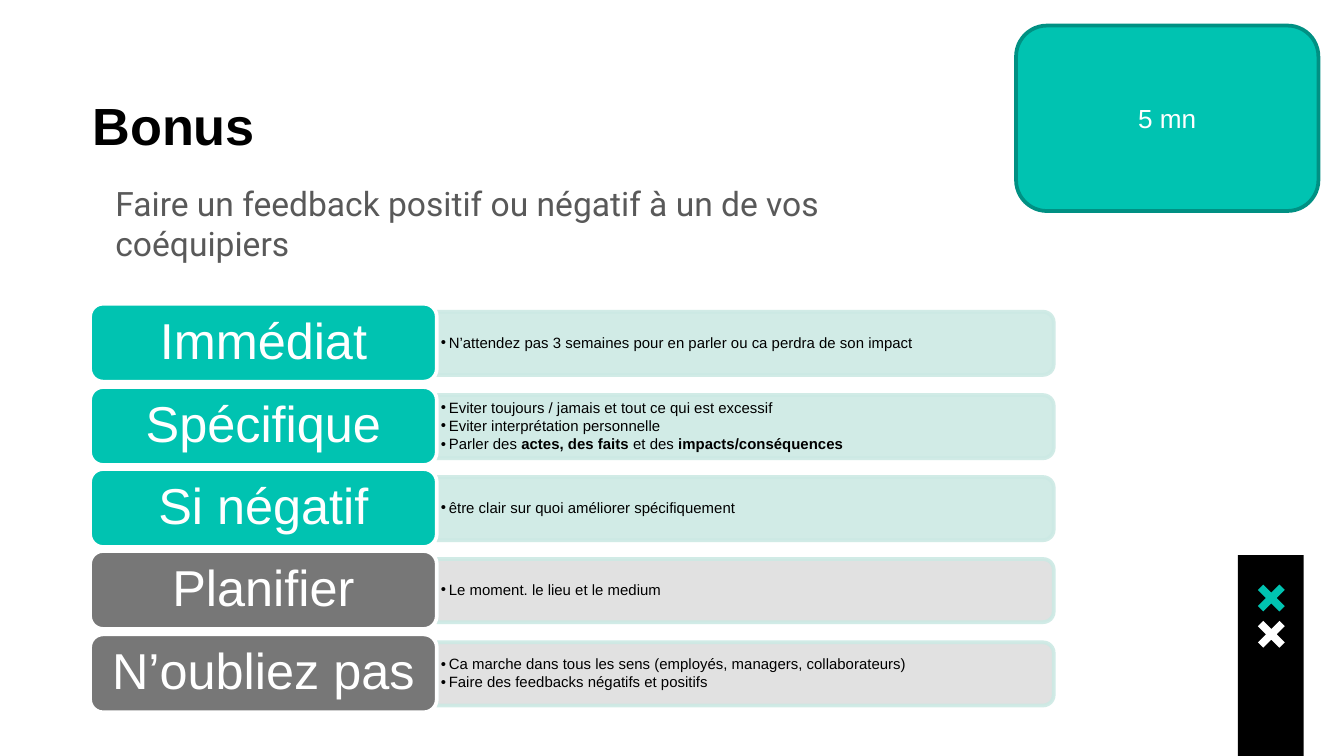
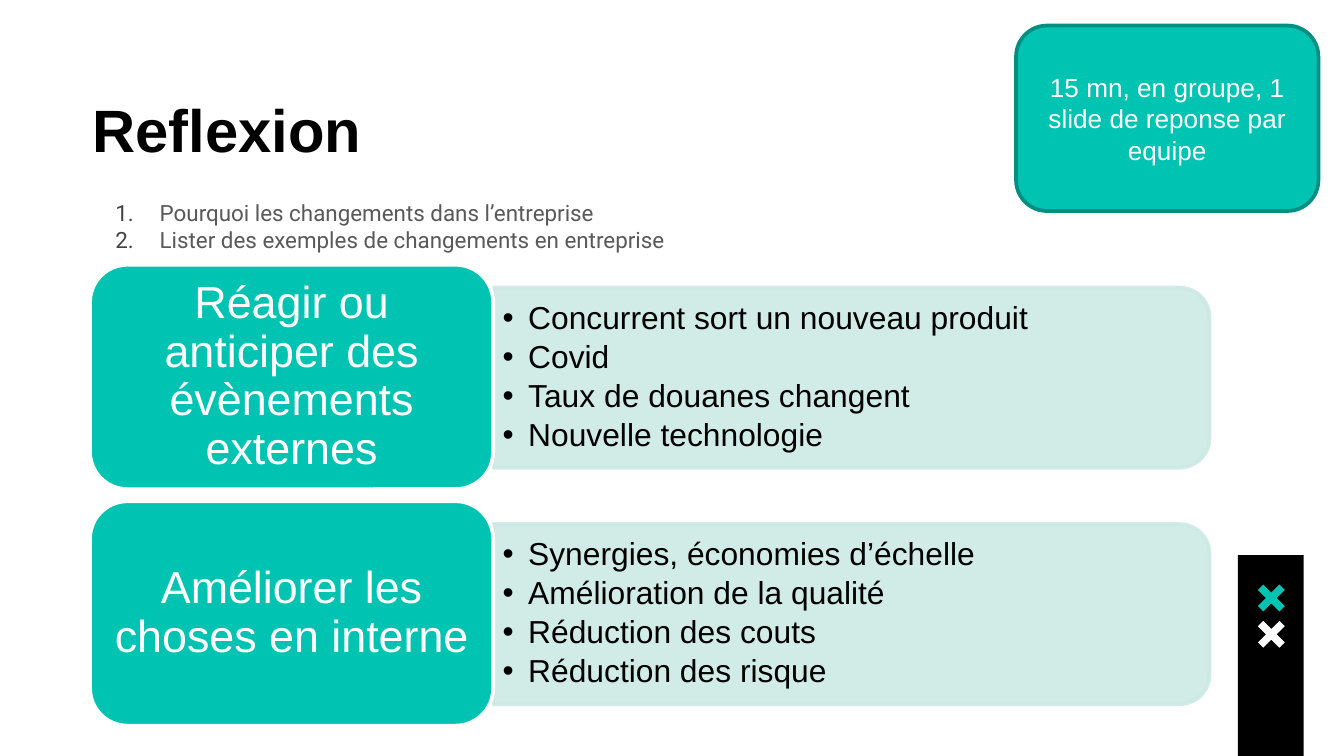
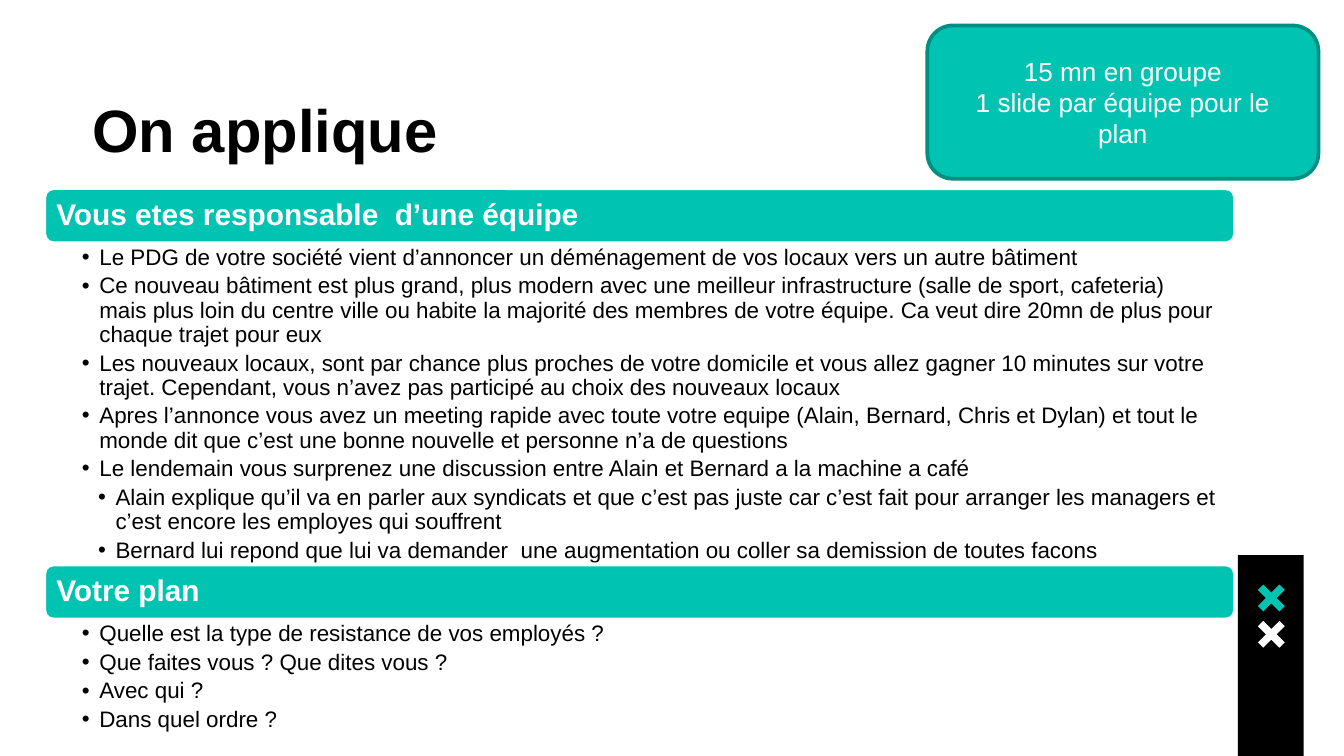
"""Build three workshop slides on feedback and change management."""
from dataclasses import dataclass, replace

from lxml import etree
from pptx import Presentation
from pptx.dml.color import RGBColor
from pptx.enum.shapes import MSO_SHAPE
from pptx.enum.text import MSO_ANCHOR, PP_ALIGN
from pptx.oxml.ns import qn
from pptx.util import Pt

PX = 9144
SLIDE_W = 1000 * PX
SLIDE_H = SLIDE_W * 9 // 16

TEAL = RGBColor(0x00, 0xC3, 0xB1)
DARK_TEAL = RGBColor(0x00, 0x90, 0x83)
MINT = RGBColor(0xCC, 0xE9, 0xE4)
GREY = RGBColor(0x77, 0x77, 0x77)
LIGHT_GREY = RGBColor(0xDE, 0xDE, 0xDE)
BODY_GREY = RGBColor(0x59, 0x59, 0x59)
NUMBER_GREY = RGBColor(0x43, 0x43, 0x43)
BLACK = RGBColor(0x00, 0x00, 0x00)
WHITE = RGBColor(0xFF, 0xFF, 0xFF)

RECT = MSO_SHAPE.RECTANGLE
ROUND = MSO_SHAPE.ROUNDED_RECTANGLE
ROUND_TOP = MSO_SHAPE.ROUND_2_SAME_RECTANGLE
LEFT, CENTER = PP_ALIGN.LEFT, PP_ALIGN.CENTER
TOP, MIDDLE = MSO_ANCHOR.TOP, MSO_ANCHOR.MIDDLE

CROSS = [(4, 0), (0, 4), (6, 10), (0, 16), (4, 20), (10, 14),
         (16, 20), (20, 16), (14, 10), (20, 4), (16, 0), (10, 6)]


@dataclass(frozen=True)
class Style:
    """Paragraph look; indents in px, space after in percent."""
    size: int
    color: RGBColor = BLACK
    font: str = "Arial"
    bold: bool = False
    align: PP_ALIGN = LEFT
    line: float = 1.0
    after: int = 0
    level: int = 0
    indent: int = 0
    hang: int = 0
    mark: str = ""
    mark_color: RGBColor = BLACK


TITLE = Style(32, bold=True)
LEAD = Style(18, BODY_GREY, "Roboto", indent=17)
QUESTION = Style(12, BODY_GREY, "Roboto", indent=50, hang=33,
                 mark="number", mark_color=NUMBER_GREY)
BADGE = Style(14, WHITE, align=CENTER)
LABEL = Style(27, WHITE, align=CENTER, line=0.9, after=35)
HEADER = Style(16, WHITE, bold=True, line=0.9, after=35)
POINT = Style(8, line=0.9, after=15, level=1, indent=6, hang=6, mark="•")
BIG_POINT = replace(POINT, size=17, indent=19, hang=19)
STORY = replace(POINT, size=12, after=20, indent=13, hang=13)
SUB_STORY = replace(STORY, level=2, indent=25)


def px(*values):
    """Turn px lengths into EMU."""
    return [v * PX for v in values]


def format_paragraph(p, style):
    """Apply alignment, spacing, indents and list mark."""
    p.alignment, p.line_spacing, p.level = style.align, style.line, style.level
    pPr = p._p.get_or_add_pPr()
    pPr.set("marL", str(style.indent * PX))
    pPr.set("indent", str(-style.hang * PX))
    if style.after:
        after = etree.SubElement(pPr, qn("a:spcAft"))
        etree.SubElement(after, qn("a:spcPct"), val=str(style.after * 1000))
    if not style.mark:
        etree.SubElement(pPr, qn("a:buNone"))
        return
    color = etree.SubElement(pPr, qn("a:buClr"))
    etree.SubElement(color, qn("a:srgbClr"), val=str(style.mark_color))
    etree.SubElement(pPr, qn("a:buFont"), typeface=style.font)
    if style.mark == "number":
        etree.SubElement(pPr, qn("a:buAutoNum"), type="arabicPeriod")
    else:
        etree.SubElement(pPr, qn("a:buChar"), char=style.mark)


def write(s, style, items):
    """Append paragraphs; parts between ** are bold."""
    tf = s.text_frame
    for item in items:
        p = tf.paragraphs[0]
        if p.runs:
            p = tf.add_paragraph()
        format_paragraph(p, style)
        for i, part in enumerate(item.split("**")):
            if part:
                r = p.add_run()
                r.text = part
                r.font.name, r.font.size = style.font, Pt(style.size)
                r.font.bold = style.bold or i % 2 == 1
                r.font.color.rgb = style.color


def set_frame(s, anchor, insets):
    """Set wrapping, anchor and left, top, right, bottom insets."""
    tf = s.text_frame
    tf.word_wrap, tf.vertical_anchor = True, anchor
    (tf.margin_left, tf.margin_top,
     tf.margin_right, tf.margin_bottom) = px(*insets)


def add_text(slide, box, style, items, anchor=TOP, insets=(10, 10, 10, 10)):
    """Add a text box."""
    s = slide.shapes.add_textbox(*px(*box))
    set_frame(s, anchor, insets)
    write(s, style, items)
    return s


def paint(s, fill, line=None):
    """Give a shape its fill and outline without shadow."""
    s.shadow.inherit = False
    s.fill.solid()
    s.fill.fore_color.rgb = fill
    if line is None:
        s.line.fill.background()
    else:
        s.line.color.rgb = line
        s.line.width = Pt(2)


def add_block(slide, box, fill, line, style, items, insets=(10, 5, 10, 5)):
    """Add a rounded rectangle with text."""
    s = slide.shapes.add_shape(ROUND, *px(*box))
    paint(s, fill, line)
    set_frame(s, MIDDLE, insets)
    write(s, style, items)


def add_badge(slide, x, width, height, items):
    """Add the timing badge at the top right."""
    add_block(slide, (x, 19, width, height), TEAL, DARK_TEAL, BADGE, items)


def add_panel(slide, box, fill, style, items, insets):
    """Add a translucent panel rounded on its right, with bullets."""
    x, y, w, h = box
    turned = (x + (w - h) / 2, y + (h - w) / 2, h, w)
    s = slide.shapes.add_shape(ROUND_TOP, *[int(v) for v in px(*turned)])
    s.rotation = 90
    paint(s, fill, MINT)
    for color in s.element.spPr.iter(qn("a:srgbClr")):
        etree.SubElement(color, qn("a:alpha"), val="90000")
    corner = round(0.049 * h)
    add_text(slide, (x, y + corner, w - corner, h - 2 * corner),
             style, items, MIDDLE, insets)


def add_row(slide, label_box, panel_size, colors, styles, label, items,
            label_insets, panel_insets):
    """Add a label with its panel centred beside it."""
    x, y, w, h = label_box
    panel_w, panel_h = panel_size
    panel_box = (x + w, y + (h - panel_h + 1) // 2, panel_w, panel_h)
    label_fill, panel_fill = colors
    label_style, item_style = styles
    add_panel(slide, panel_box, panel_fill, item_style, items, panel_insets)
    add_block(slide, label_box, label_fill, WHITE, label_style, [label],
              label_insets)


def add_header(slide, y, text):
    """Add a full-width section header."""
    add_block(slide, (33, y, 886, 41), TEAL, WHITE, HEADER, [text],
              (7, 7, 7, 7))


def add_story(slide, y, height, items):
    """Add the bullets below a section header."""
    return add_text(slide, (33, y, 886, height), STORY, items,
                    insets=(28, 2, 12, 2))


def add_cross(slide, y, color):
    """Add one cross of the side band."""
    builder = slide.shapes.build_freeform(*CROSS[0], scale=PX)
    builder.add_line_segments(CROSS[1:], close=True)
    paint(builder.convert_to_shape(*px(936, y)), color)


def new_slide(prs, title, size=32):
    """Add a blank slide with side band and title."""
    slide = prs.slides.add_slide(prs.slide_layouts[6])
    x, y, w = px(921, 413, 49)
    band = slide.shapes.add_shape(RECT, x, y, w, SLIDE_H - y)
    paint(band, BLACK)
    add_cross(slide, 435, TEAL)
    add_cross(slide, 462, WHITE)
    add_text(slide, (59, 59, 886, 79), replace(TITLE, size=size), [title])
    return slide


def build_bonus(prs):
    """Build the feedback exercise."""
    slide = new_slide(prs, "Bonus", 28)
    add_text(slide, (59, 126, 691, 408), LEAD,
             ["Faire un feedback positif ou négatif à un de vos coéquipiers"])
    add_badge(slide, 756, 225, 138, ["5 mn"])
    teal, grey = (TEAL, MINT), (GREY, LIGHT_GREY)
    rows = [
        (teal, "Immédiat",
         ["N’attendez pas 3 semaines pour en parler ou ca perdra de son impact"]),
        (teal, "Spécifique",
         ["Eviter toujours / jamais et tout ce qui est excessif",
          "Eviter interprétation personnelle",
          "Parler des **actes, des faits** et des **impacts/conséquences**"]),
        (teal, "Si négatif", ["être clair sur quoi améliorer spécifiquement"]),
        (grey, "Planifier", ["Le moment. le lieu et le medium"]),
        (grey, "N’oubliez pas",
         ["Ca marche dans tous les sens (employés, managers, collaborateurs)",
          "Faire des feedbacks négatifs et positifs"]),
    ]
    for i, (colors, label, items) in enumerate(rows):
        add_row(slide, (67, round(226.4 + 61.3 * i), 258, 58), (459, 47),
                colors, (LABEL, POINT), label, items,
                (11, 6, 11, 6), (3, 2, 3, 2))


def build_reflexion(prs):
    """Build the group reflection on change."""
    slide = new_slide(prs, "Reflexion")
    add_text(slide, (59, 138, 886, 368), QUESTION,
             ["Pourquoi les changements dans l’entreprise",
              "Lister des exemples de changements en entreprise"])
    add_badge(slide, 756, 225, 138,
              ["15 mn, en groupe, 1 slide de reponse par equipe"])
    rows = [
        ("Réagir ou anticiper des évènements externes",
         ["Concurrent sort un nouveau produit", "Covid",
          "Taux de douanes changent", "Nouvelle technologie"]),
        ("Améliorer les choses en interne",
         ["Synergies, économies d’échelle", "Amélioration de la qualité",
          "Réduction des couts", "Réduction des risque"]),
    ]
    for i, (label, items) in enumerate(rows):
        add_row(slide, (67, 197 + 176 * i, 300, 167), (533, 134),
                (TEAL, MINT), (replace(LABEL, size=24), BIG_POINT), label,
                items, (10, 5, 10, 5), (7, 4, 7, 4))


def build_application(prs):
    """Build the case study."""
    slide = new_slide(prs, "On applique")
    add_header(slide, 140, "Vous etes responsable  d’une équipe")
    s = add_story(slide, 181, 239, [
        "Le PDG de votre société vient d’annoncer un déménagement de vos "
        "locaux vers un autre bâtiment",
        "Ce nouveau bâtiment est plus grand, plus modern avec une meilleur "
        "infrastructure (salle de sport, cafeteria) mais plus loin du centre "
        "ville ou habite la majorité des membres de votre équipe. Ca veut dire "
        "20mn de plus pour chaque trajet pour eux",
        "Les nouveaux locaux, sont par chance plus proches de votre domicile "
        "et vous allez gagner 10 minutes sur votre trajet. Cependant, vous "
        "n’avez pas participé au choix des nouveaux locaux",
        "Apres l’annonce vous avez un meeting rapide avec toute votre equipe "
        "(Alain, Bernard, Chris et Dylan) et tout le monde dit que c’est une "
        "bonne nouvelle et personne n’a de questions",
        "Le lendemain vous surprenez une discussion entre Alain et Bernard a "
        "la machine a café",
    ])
    write(s, SUB_STORY, [
        "Alain explique qu’il va en parler aux syndicats et que c’est pas "
        "juste car c’est fait pour arranger les managers et c’est encore les "
        "employes qui souffrent",
        "Bernard lui repond que lui va demander  une augmentation ou coller "
        "sa demission de toutes facons",
    ])
    add_header(slide, 420, "Votre plan")
    add_story(slide, 461, 85, [
        "Quelle est la type de resistance de vos employés ?",
        "Que faites vous ? Que dites vous ?",
        "Avec qui ?",
        "Dans quel ordre ?",
    ])
    add_badge(slide, 690, 291, 114,
              ["15 mn en groupe", "1 slide par équipe pour le plan"])


def main():
    """Build and save the deck."""
    prs = Presentation()
    prs.slide_width, prs.slide_height = SLIDE_W, SLIDE_H
    build_bonus(prs)
    build_reflexion(prs)
    build_application(prs)
    prs.save("out.pptx")


if __name__ == "__main__":
    main()
